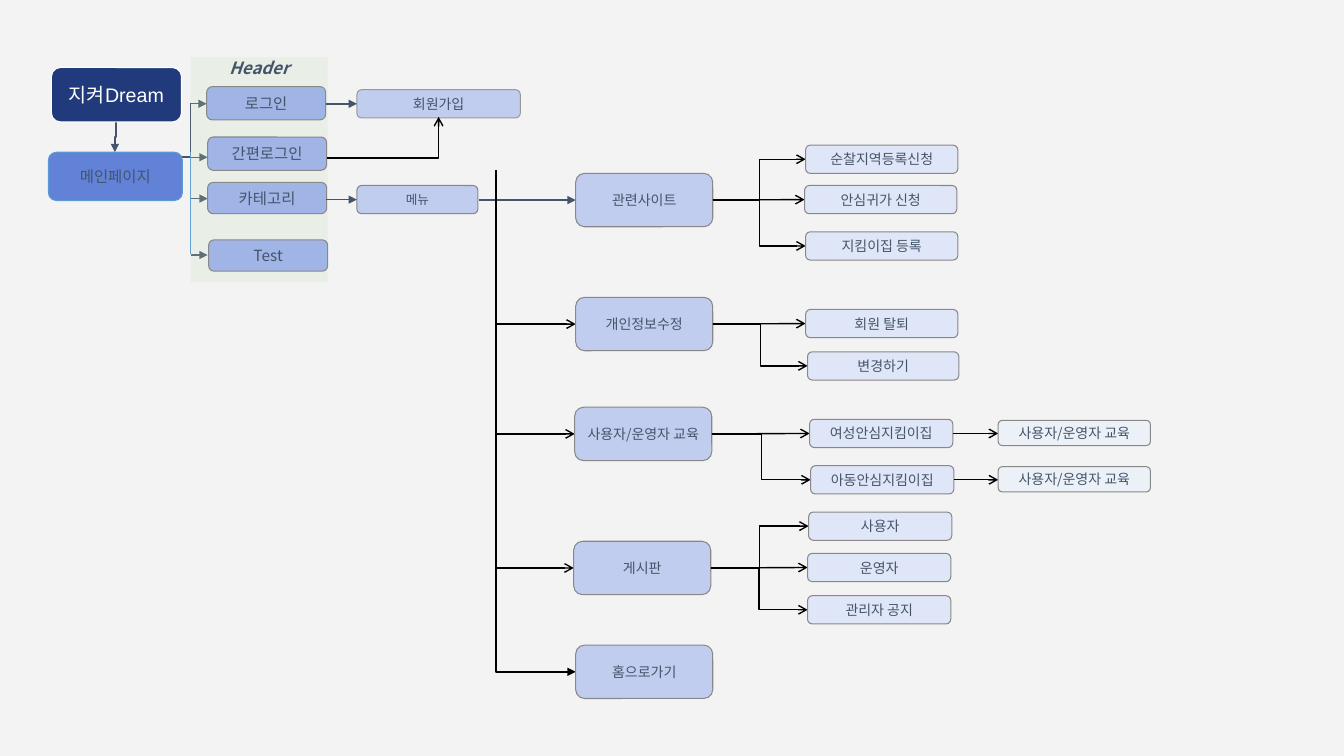
from lxml import etree
from pptx import Presentation
from pptx.dml.color import RGBColor
from pptx.enum.shapes import MSO_CONNECTOR, MSO_SHAPE
from pptx.enum.text import MSO_ANCHOR, PP_ALIGN
from pptx.oxml.ns import qn
from pptx.util import Inches, Pt

STRAIGHT, ELBOW = MSO_CONNECTOR.STRAIGHT, MSO_CONNECTOR.ELBOW
RECT, ROUNDED = MSO_SHAPE.RECTANGLE, MSO_SHAPE.ROUNDED_RECTANGLE
CENTER = PP_ALIGN.CENTER
TOP, MIDDLE = MSO_ANCHOR.TOP, MSO_ANCHOR.MIDDLE

FONT = "Noto Sans CJK KR"
COLORS = {
    "page": "F3F3F3", "panel": "C5E0B4", "ink": "44546A", "black": "000000",
    "white": "FFFFFF", "edge": "888888", "pale_edge": "999999", "blue": "5B9BD5",
    "root": "203A7B", "main": "6182D6", "header": "A0B4E6", "menu": "C0CDEF",
    "item": "DFE6F7", "detail": "ECF1F8",
}

# Menu branches: (name, left, top, [(item, left offset, top offset, width, detail)])
BRANCHES = [
    ("관련사이트", 5.71, 1.72, [
        ("순찰지역등록신청", 2.28, -0.28, 1.51, None),
        ("안심귀가 신청", 2.27, 0.12, 1.51, None),
        ("지킴이집 등록", 2.28, 0.58, 1.51, None)]),
    ("개인정보수정", 5.71, 2.95, [
        ("회원 탈퇴", 2.28, 0.12, 1.51, None),
        ("변경하기", 2.30, 0.54, 1.50, None)]),
    ("사용자/운영자 교육", 5.70, 4.04, [
        ("여성안심지킴이집", 2.33, 0.12, 1.42, "사용자/운영자 교육"),
        ("아동안심지킴이집", 2.34, 0.58, 1.42, "사용자/운영자 교육")]),
    ("게시판", 5.69, 5.37, [
        ("사용자", 2.33, -0.29, 1.42, None),
        ("운영자", 2.32, 0.12, 1.42, None),
        ("관리자 공지", 2.32, 0.54, 1.42, None)]),
    ("홈으로가기", 5.71, 6.40, []),
]
BRANCH_SIZE = (1.36, 0.53)
ITEM_HEIGHT = 0.28
TRUNK_X = 4.92


def color(name):
    return RGBColor.from_string(COLORS[name])


def write(shape, text, size, ink="ink", font=FONT, anchor=MIDDLE, inset=0.1):
    frame = shape.text_frame
    frame.word_wrap = True
    frame.vertical_anchor = anchor
    frame.margin_left = frame.margin_right = Inches(0.1)
    frame.margin_top = frame.margin_bottom = Inches(inset)
    para = frame.paragraphs[0]
    para.text = text
    para.alignment = CENTER
    para.font.name, para.font.size = font, Pt(size)
    para.font.color.rgb = color(ink)
    defaults = para.font._element
    etree.SubElement(defaults, qn("a:ea")).set("typeface", FONT)
    return para


def add_node(page, box, text, fill, size=10, edge="edge", ink="ink", font=FONT):
    node = page.shapes.add_shape(ROUNDED, *map(Inches, box))
    node.shadow.inherit = False
    node.fill.solid()
    node.fill.fore_color.rgb = color(fill)
    node.line.color.rgb = color(edge)
    node.line.width = Pt(0.75)
    write(node, text, size, ink, font)


def add_link(page, start, end, kind=STRAIGHT, ink="black", head="arrow", width=1):
    link = page.shapes.add_connector(kind, *map(Inches, (*start, *end)))
    link.line.color.rgb = color(ink)
    link.line.width = Pt(width)
    properties = link._element.spPr
    if head:
        etree.SubElement(properties.find(qn("a:ln")), qn("a:tailEnd")).set("type", head)
    etree.SubElement(properties, qn("a:effectLst"))
    return link


def make_corner(link):
    link._element.spPr.find(qn("a:prstGeom")).set("prst", "bentConnector2")


def add_down_link(page, start, end, **style):
    """Elbow that leaves its start vertically: a level elbow turned by 270 degrees."""
    (x1, y1), (x2, y2) = start, end
    mid_x, mid_y = (x1 + x2) / 2, (y1 + y2) / 2
    half_x, half_y = (x2 - x1) / 2, (y2 - y1) / 2
    link = add_link(page, (mid_x + half_y, mid_y - half_x),
                    (mid_x - half_y, mid_y + half_x), ELBOW, **style)
    link._element.spPr.find(qn("a:xfrm")).set("rot", str(270 * 60000))
    return link


def draw_entry(page, left, top):
    """Root and main page, with the links that lead into the header panel."""
    spine = left + 1.41
    add_link(page, (left + 1.25, top + 0.89), (left + 1.57, top + 0.36), ELBOW,
             ink="ink", head="triangle")
    add_down_link(page, (left + 0.67, top + 0.54), (left + 0.66, top + 0.84),
                  ink="ink", head="triangle")
    add_node(page, (left, top + 0.84, 1.33, 0.48), "메인페이지", "main", 11, "blue")
    add_node(page, (left + 0.03, top, 1.29, 0.54), "지켜Dream", "root", 14,
             "white", "white", "Arial")
    for drop, width in ((0.89, 0.75), (1.30, 1), (1.86, 0.75)):
        add_link(page, (spine, top + drop), (spine + 0.17, top + drop),
                 ink="ink", head="triangle", width=width)
    add_link(page, (spine, top + 0.84), (spine, top + 1.85), ink="blue", head=None)


def draw_header(page, left, top):
    """Tinted panel with its four entries, and the boxes they lead to."""
    panel = page.shapes.add_shape(RECT, *map(Inches, (left, top, 1.36, 2.23)))
    panel.shadow.inherit = False
    panel.fill.solid()
    panel.fill.fore_color.rgb = color("panel")
    tint = panel._element.spPr.find(qn("a:solidFill"))[0]
    etree.SubElement(tint, qn("a:alpha")).set("val", "20000")
    panel.line.fill.background()
    heading = write(panel, "Header", 12, anchor=TOP, inset=0)
    heading.font.bold = heading.font.italic = True

    entries = [("로그인", 0.16, 0.29, 0.33), ("간편로그인", 0.17, 0.79, 0.33),
               ("카테고리", 0.17, 1.24, 0.31), ("Test", 0.18, 1.81, 0.31)]
    for text, shift, drop, height in entries:
        add_node(page, (left + shift, top + drop, 1.18, height), text, "header", 11)

    target = left + 1.65
    add_node(page, (target, top + 0.32, 1.62, 0.28), "회원가입", "menu", 10, "pale_edge")
    add_node(page, (target, top + 1.27, 1.20, 0.28), "메뉴", "menu", 9)
    for drop in (0.46, 1.41):
        add_link(page, (left + 1.34, top + drop), (target, top + drop),
                 ink="ink", head="triangle")
    make_corner(add_link(page, (left + 1.35, top + 1.00),
                         (target + 0.81, top + 0.59), ELBOW))


def draw_trunk(page, top, end):
    """Vertical line that feeds every branch and turns into the last one."""
    make_corner(add_down_link(page, (TRUNK_X, top), end, head="triangle"))


def draw_branch(page, left, top, name, items):
    """Menu box with its items to the right and any detail boxes beyond."""
    width, height = BRANCH_SIZE
    add_node(page, (left, top, width, height), name, "menu")
    exit_point = (left + width, top + height / 2)
    for text, shift, drop, item_width, detail in items:
        item_left, item_top = left + shift, top + drop
        middle = item_top + ITEM_HEIGHT / 2
        kind = ELBOW if abs(middle - exit_point[1]) > 0.1 else STRAIGHT
        add_link(page, exit_point, (item_left, middle), kind)
        add_node(page, (item_left, item_top, item_width, ITEM_HEIGHT), text, "item")
        if detail:
            add_link(page, (item_left + item_width, middle), (9.90, middle))
            add_node(page, (9.90, middle - 0.13, 1.51, 0.25), detail, "detail")


def build_sitemap(deck):
    page = deck.slides.add_slide(deck.slide_layouts[6])
    page.background.fill.solid()
    page.background.fill.fore_color.rgb = color("page")

    draw_entry(page, 0.48, 0.67)
    draw_header(page, 1.89, 0.57)

    # Feeds from the menu and the trunk
    feeds = [(left, top + BRANCH_SIZE[1] / 2) for _, left, top, _ in BRANCHES]
    add_link(page, (4.75, feeds[0][1]), feeds[0], ink="ink", head="triangle")
    draw_trunk(page, 1.69, feeds[-1])
    for feed in feeds[1:-1]:
        add_link(page, (TRUNK_X, feed[1]), feed)

    for name, left, top, items in BRANCHES:
        draw_branch(page, left, top, name, items)


def main():
    deck = Presentation()
    deck.slide_width, deck.slide_height = Inches(13.33), Inches(7.5)
    build_sitemap(deck)
    deck.save("out.pptx")


if __name__ == "__main__":
    main()
